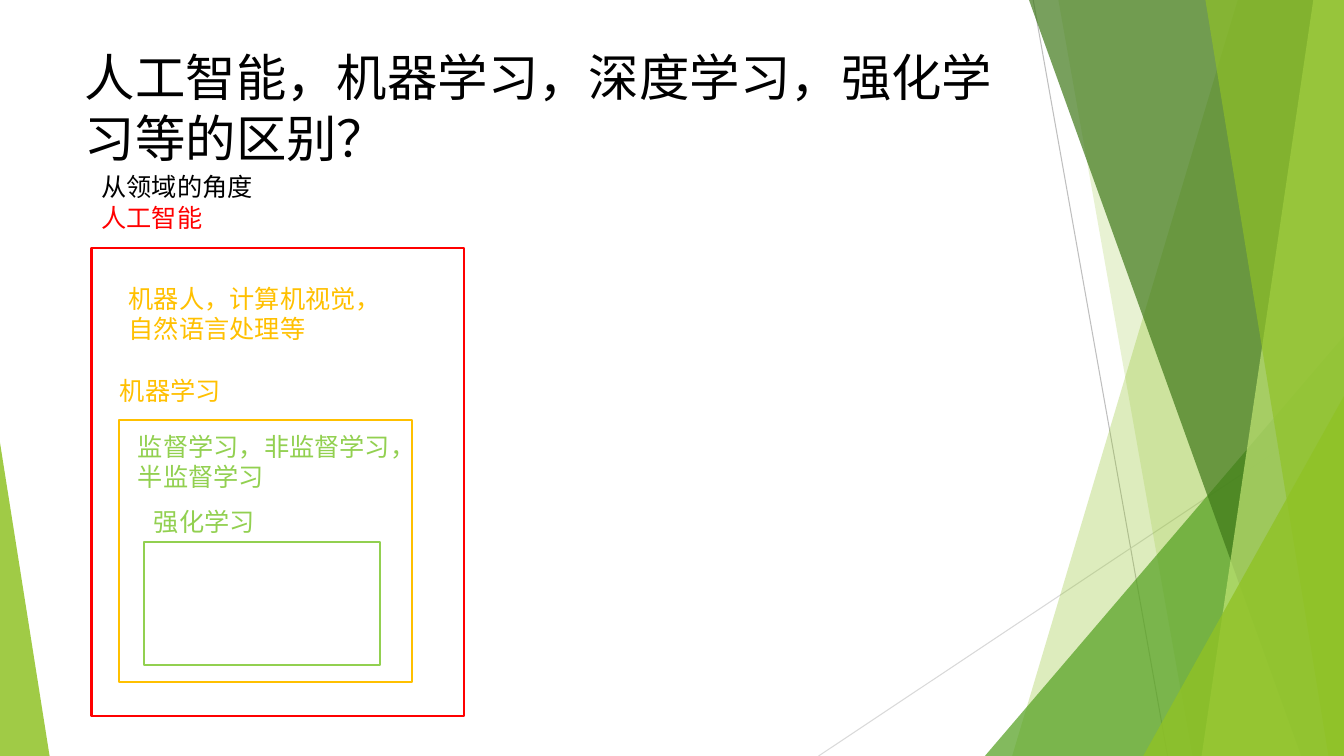
from dataclasses import dataclass

import lxml.etree
import pptx
import pptx.dml.color
import pptx.enum.shapes
import pptx.enum.text
import pptx.oxml.ns
import pptx.util

COLORS = {
    "black": "000000", "red": "FF0000", "amber": "FFC000", "lime": "92D050",
    "leaf": "90C226", "green": "54A021", "forest": "3F7819", "pale": "C0E474",
    "gray": "BFBFBF", "silver": "D9D9D9",
}
COLUMNS, ROWS = 32, 18
SHAPES = pptx.enum.shapes.MSO_SHAPE


@dataclass
class Area:
    column: float
    row: float
    columns: float
    rows: float


@dataclass
class Ray:
    start: tuple[float, float]
    end: tuple[float, float]
    color: str


@dataclass
class Facet:
    top_column: float
    bottom_column: float
    color: str
    opacity: int


@dataclass
class Wedge:
    area: Area
    apex: float
    color: str
    opacity: int


@dataclass
class Frame:
    area: Area
    color: str


@dataclass
class Label:
    area: Area
    text: str
    color: str


RAYS = [Ray((24.6, 0), (27.8, 18), "gray"), Ray((32, 9.67), (19.49, 18), "silver")]
FACETS = [
    Facet(29.47, 24.1, "leaf", 30),
    Facet(25.2, 28.39, "leaf", 20),
    Wedge(Area(23.45, 8, 8.55, 10), 1, "green", 72),
    Facet(24.5, 30.98, "forest", 70),
    Facet(31.27, 28.61, "pale", 70),
    Facet(28.7, 31.63, "leaf", 65),
    Wedge(Area(27.22, 9.43, 4.78, 8.57), 1, "leaf", 80),
    Wedge(Area(0, 10.54, 1.18, 7.46), 0, "leaf", 85),
]
FRAMES = [
    Frame(Area(2.18, 5.9, 8.86, 11.14), "red"),
    Frame(Area(2.83, 10.01, 6.98, 6.22), "amber"),
    Frame(Area(3.43, 12.91, 5.62, 2.93), "lime"),
]
LABELS = [
    Label(Area(2.18, 3.96, 5.62, 0.98), "从领域的角度", "black"),
    Label(Area(2.18, 4.7, 3.67, 0.96), "人工智能", "red"),
    Label(Area(2.62, 8.81, 4.54, 0.96), "机器学习", "amber"),
    Label(Area(2.83, 6.62, 6.98, 1.7), "机器人，计算机视觉，自然语言处理等", "amber"),
    Label(Area(3.05, 10.15, 6.55, 1.7), "监督学习，非监督学习，半监督学习", "lime"),
    Label(Area(3.43, 11.93, 3.22, 0.96), "强化学习", "lime"),
]

deck = pptx.Presentation()
deck.slide_width = pptx.util.Inches(13.33)
deck.slide_height = pptx.util.Inches(7.5)
page = deck.slides.add_slide(deck.slide_layouts[5])


def across(columns: float) -> int:
    return round(deck.slide_width * columns / COLUMNS)


def down(rows: float) -> int:
    return round(deck.slide_height * rows / ROWS)


def bounds(area: Area) -> tuple[int, int, int, int]:
    return across(area.column), down(area.row), across(area.columns), down(area.rows)


def rgb(color: str) -> pptx.dml.color.RGBColor:
    return pptx.dml.color.RGBColor.from_string(COLORS[color])


def write(box, text: str, *, size: float, color: str) -> None:
    frame = box.text_frame
    frame.word_wrap = True
    frame.auto_size = pptx.enum.text.MSO_AUTO_SIZE.NONE
    frame.vertical_anchor = pptx.enum.text.MSO_ANCHOR.TOP
    para = frame.paragraphs[0]
    para.alignment = pptx.enum.text.PP_ALIGN.LEFT
    span = para.add_run()
    span.text = text
    span.font.name = "Lato"
    span.font.size = pptx.util.Pt(size)
    span.font.color.rgb = rgb(color)


def paint(shape, color: str, opacity: int) -> None:
    shape.shadow.inherit = False
    shape.line.fill.background()
    shape.fill.solid()
    shape.fill.fore_color.rgb = rgb(color)
    tint = shape._element.spPr.find(".//" + pptx.oxml.ns.qn("a:srgbClr"))
    alpha = lxml.etree.SubElement(tint, pptx.oxml.ns.qn("a:alpha"))
    alpha.set("val", str(opacity * 1000))


def draw_ray(ray: Ray) -> None:
    line = page.shapes.add_connector(
        pptx.enum.shapes.MSO_CONNECTOR.STRAIGHT,
        across(ray.start[0]), down(ray.start[1]), across(ray.end[0]), down(ray.end[1]),
    )
    line.line.color.rgb = rgb(ray.color)
    line.line.width = pptx.util.Pt(0.75)
    lxml.etree.SubElement(line._element.spPr, pptx.oxml.ns.qn("a:effectLst"))


def draw_facet(facet: Facet) -> None:
    outline = page.shapes.build_freeform(across(facet.top_column), 0)
    corners = [(COLUMNS, 0), (COLUMNS, ROWS), (facet.bottom_column, ROWS)]
    outline.add_line_segments([(across(x), down(y)) for x, y in corners], close=True)
    paint(outline.convert_to_shape(), facet.color, facet.opacity)


def draw_wedge(wedge: Wedge) -> None:
    shape = page.shapes.add_shape(SHAPES.ISOSCELES_TRIANGLE, *bounds(wedge.area))
    shape.adjustments[0] = wedge.apex
    paint(shape, wedge.color, wedge.opacity)


def draw_frame(frame: Frame) -> None:
    shape = page.shapes.add_shape(SHAPES.RECTANGLE, *bounds(frame.area))
    shape.shadow.inherit = False
    shape.fill.background()
    shape.line.color.rgb = rgb(frame.color)
    shape.line.width = pptx.util.Pt(1.5)


def draw_label(label: Label) -> None:
    box = page.shapes.add_textbox(*bounds(label.area))
    write(box, label.text, size=18, color=label.color)


for ray in RAYS:
    draw_ray(ray)
for facet in FACETS:
    if isinstance(facet, Wedge):
        draw_wedge(facet)
    else:
        draw_facet(facet)

title = page.shapes.title
title.left, title.top, title.width, title.height = bounds(Area(1.78, 0.98, 22.56, 3.46))
write(title, "人工智能，机器学习，深度学习，强化学习等的区别？", size=36, color="black")

for frame in FRAMES:
    draw_frame(frame)
for label in LABELS:
    draw_label(label)

deck.save("out.pptx")
